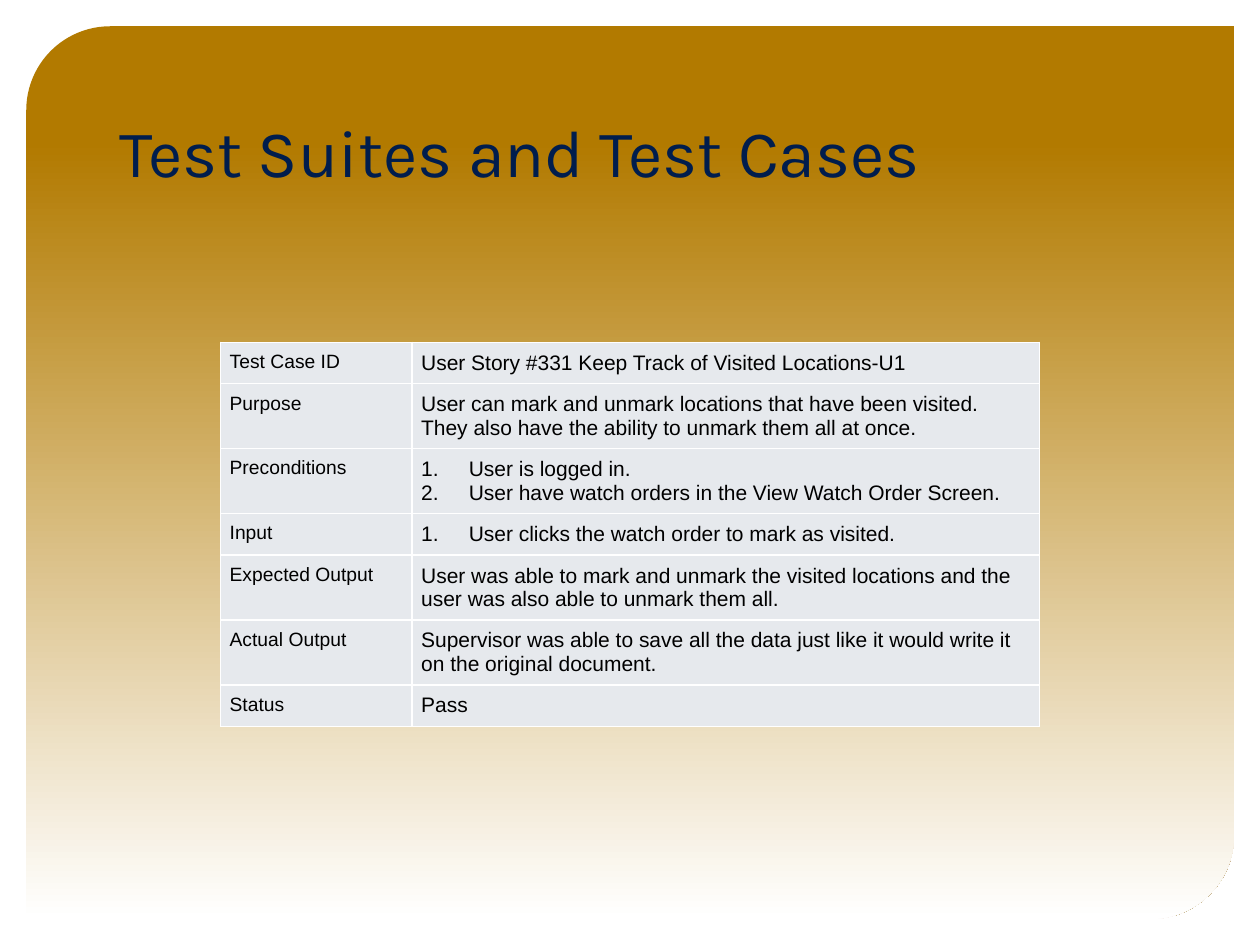
import copy

import pptx
import pptx.dml.color
import pptx.enum.shapes
import pptx.enum.text
import pptx.oxml
import pptx.oxml.ns
import pptx.util
from pptx.util import Cm

RGBColor = pptx.dml.color.RGBColor
GOLD = RGBColor(0xB2, 0x7A, 0x00)
WHITE = RGBColor(0xFF, 0xFF, 0xFF)
NAVY = RGBColor(0x00, 0x1D, 0x4D)
BLACK = RGBColor(0x00, 0x00, 0x00)
PALE = RGBColor(0xE6, 0xE9, 0xED)

ONE_LINE, TWO_LINES = Cm(0.83), Cm(1.3)
COLUMNS = (Cm(3.86), Cm(12.65))
# label, lines of text, numbered, row height
ROWS = [
    ("Test Case ID", ["User Story #331 Keep Track of Visited Locations-U1"], False, ONE_LINE),
    ("Purpose", ["User can mark and unmark locations that have been visited. "
                 "They also have the ability to unmark them all at once."], False, TWO_LINES),
    ("Preconditions", ["User is logged in.",
                       "User have watch orders in the View Watch Order Screen."], True, TWO_LINES),
    ("Input", ["User clicks the watch order to mark as visited."], True, ONE_LINE),
    ("Expected Output", ["User was able to mark and unmark the visited locations and the "
                         "user was also able to unmark them all."], False, TWO_LINES),
    ("Actual Output", ["Supervisor was able to save all the data just like it would write it "
                       "on the original document."], False, TWO_LINES),
    ("Status", ["Pass"], False, ONE_LINE),
]


def xml(text):
    return pptx.oxml.parse_xml(text.replace(" ", f" {pptx.oxml.ns.nsdecls('a')} ", 1))


def add_number(p):
    pPr = p._p.get_or_add_pPr()
    pPr.set("marL", str(Cm(0.96)))
    pPr.set("indent", str(-Cm(0.96)))
    pPr.append(xml(f'<a:buClr ><a:srgbClr val="{BLACK}"/></a:buClr>'))
    pPr.append(xml('<a:buAutoNum type="arabicPeriod"/>'))


def write(tf, lines, size=12, color=BLACK, font="Arial", numbered=False):
    for i, line in enumerate(lines):
        p = tf.paragraphs[0] if i == 0 else tf.add_paragraph()
        p.alignment = pptx.enum.text.PP_ALIGN.LEFT
        if numbered:
            add_number(p)
        r = p.add_run()
        r.text = line
        r.font.size = pptx.util.Pt(size)
        r.font.name = font
        r.font.color.rgb = color


def add_backdrop(s, left, top, width, height):
    sp = s.shapes.add_shape(pptx.enum.shapes.MSO_SHAPE.ROUND_2_DIAG_RECTANGLE,
                            left, top, width, height)
    sp.adjustments[0], sp.adjustments[1] = 0.094, 0
    sp.shadow.inherit = False
    sp.line.fill.background()
    # Solid gold band, then a fade to white
    sp.fill.gradient()
    sp.fill.gradient_angle = 270
    first = sp.fill.gradient_stops[0]._gs
    first.addnext(copy.deepcopy(first))
    for stop, (position, color) in zip(sp.fill.gradient_stops,
                                       [(0, GOLD), (0.13, GOLD), (1, WHITE)]):
        stop.position = position
        stop.color.rgb = color
    # Behind the title
    s.shapes._spTree.insert(2, sp._element)


def place_title(s, text, left, top, width, height):
    title = s.shapes.title
    title.left, title.top, title.width, title.height = left, top, width, height
    tf = title.text_frame
    tf.auto_size = pptx.enum.text.MSO_AUTO_SIZE.NONE
    tf.vertical_anchor = pptx.enum.text.MSO_ANCHOR.BOTTOM
    write(tf, [text], size=38, color=NAVY, font="Karla")


def fill_cell(cell, lines, **text_format):
    cell.margin_left = cell.margin_right = cell.margin_top = cell.margin_bottom = Cm(0.18)
    cell.fill.solid()
    cell.fill.fore_color.rgb = PALE
    tcPr = cell._tc.get_or_add_tcPr()
    for i, side in enumerate("LRTB"):
        tcPr.insert(i, xml(f'<a:ln{side} w="12700"><a:solidFill><a:srgbClr val="{WHITE}"/>'
                           f'</a:solidFill></a:ln{side}>'))
    write(cell.text_frame, lines, **text_format)


def add_test_case(s, left, top):
    heights = [row[-1] for row in ROWS]
    table = s.shapes.add_table(len(ROWS), len(COLUMNS), left, top,
                               sum(COLUMNS), sum(heights)).table
    table.first_row = table.horz_banding = False
    for column, width in zip(table.columns, COLUMNS):
        column.width = width
    for i, (label, lines, numbered, height) in enumerate(ROWS):
        table.rows[i].height = height
        fill_cell(table.cell(i, 0), [label], size=11)
        fill_cell(table.cell(i, 1), lines, numbered=numbered)


def main():
    prs = pptx.Presentation()
    prs.slide_width, prs.slide_height = Cm(25.4), Cm(19.05)
    s = prs.slides.add_slide(prs.slide_layouts[5])
    add_backdrop(s, Cm(0.53), Cm(0.53), Cm(24.35), Cm(18.0))
    place_title(s, "Test Suites and Test Cases", Cm(2.16), Cm(1.07), Cm(21.06), Cm(2.9))
    add_test_case(s, Cm(4.45), Cm(6.9))
    prs.save("out.pptx")


if __name__ == "__main__":
    main()
